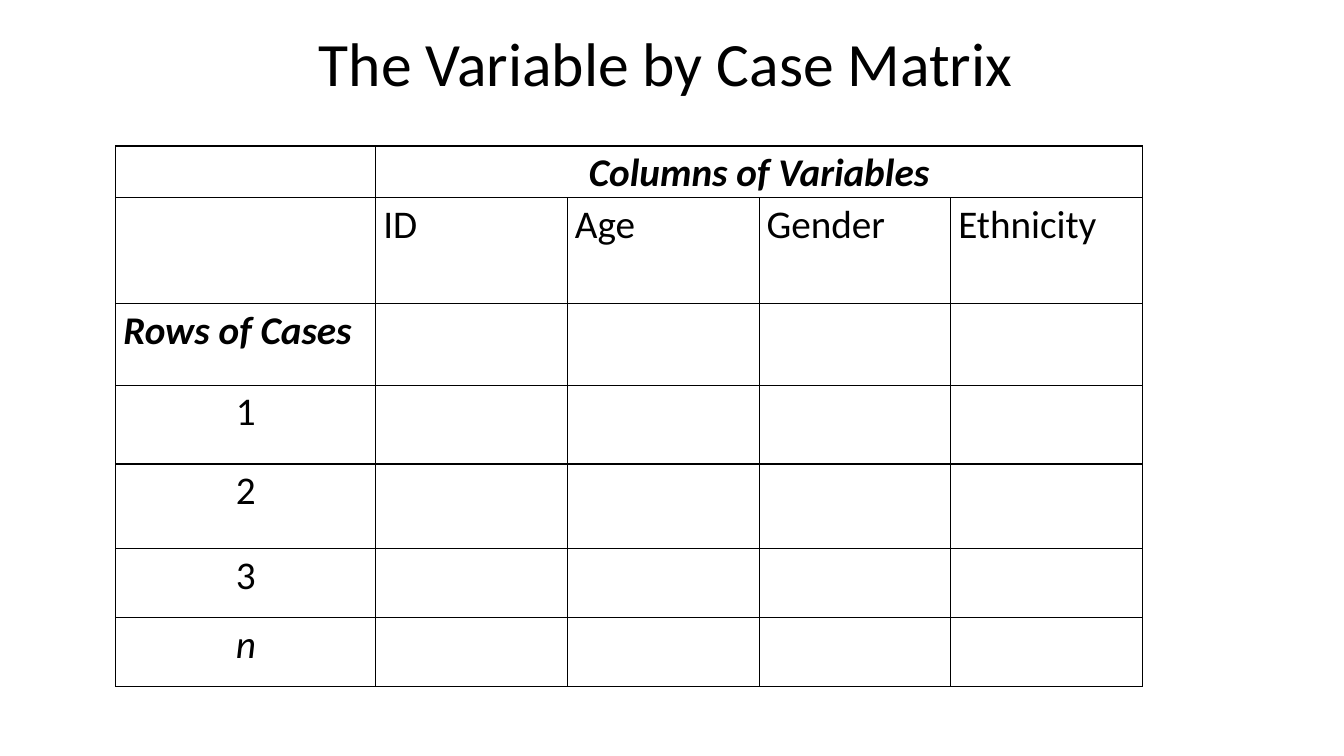
"""Build the variable by case matrix slide."""
import dataclasses

import lxml.etree
import pptx
import pptx.dml.color
import pptx.enum.text
import pptx.oxml.ns
import pptx.util

Cm = pptx.util.Cm
Pt = pptx.util.Pt
ALIGN = pptx.enum.text.PP_ALIGN
INK = "000000"
WIDTHS = [6.55] + [4.83] * 4
HEIGHTS = [1.3, 2.67, 2.06, 1.98, 2.13, 1.75, 1.73]


@dataclasses.dataclass
class Label:
    row: int
    col: int
    text: str
    mid: bool = False
    bold: bool = False
    slant: bool = False


LABELS = [
    Label(0, 1, "Columns of Variables", mid=True, bold=True, slant=True),
    *(Label(1, col, name) for col, name in enumerate(["ID", "Age", "Gender", "Ethnicity"], 1)),
    Label(2, 0, "Rows of Cases", bold=True, slant=True),
    *(Label(row, 0, name, mid=True, slant=name == "n") for row, name in enumerate("123n", 3)),
]


def color(code: str) -> pptx.dml.color.RGBColor:
    return pptx.dml.color.RGBColor.from_string(code)


def write(frame, text: str, size: float, space: float, mid: bool = False,
          bold: bool = False, slant: bool = False) -> None:
    para = frame.paragraphs[0]
    para.alignment = ALIGN.CENTER if mid else ALIGN.LEFT
    para.line_spacing = space
    run = para.add_run()
    run.text = text
    font = run.font
    font.name, font.size = "Calibri", Pt(size)
    font.bold, font.italic = bold, slant
    font.color.rgb = color(INK)


def style(cell) -> None:
    cell.margin_left = cell.margin_right = Cm(0.19)
    cell.margin_top = cell.margin_bottom = 0
    cell.fill.background()
    props = cell._tc.get_or_add_tcPr()
    qn = pptx.oxml.ns.qn
    for place, side in enumerate("LRTB"):
        line = lxml.etree.Element(qn(f"a:ln{side}"), w=str(Pt(1)))
        fill = lxml.etree.SubElement(line, qn("a:solidFill"))
        lxml.etree.SubElement(fill, qn("a:srgbClr"), val=INK)
        props.insert(place, line)


def draw_grid(slide) -> None:
    grid = slide.shapes.add_table(
        len(HEIGHTS), len(WIDTHS), Cm(2.92), Cm(3.68),
        Cm(sum(WIDTHS)), Cm(sum(HEIGHTS))).table
    grid.first_row = grid.horz_banding = False
    for col, width in zip(grid.columns, WIDTHS):
        col.width = Cm(width)
    for row, height in zip(grid.rows, HEIGHTS):
        row.height = Cm(height)
    for cell in grid.iter_cells():
        style(cell)
    grid.cell(0, 1).merge(grid.cell(0, 4))
    for label in LABELS:
        write(grid.cell(label.row, label.col).text_frame, label.text, 28, 1.07,
              label.mid, label.bold, label.slant)


def draw_title(slide) -> None:
    frame = slide.shapes.add_textbox(Cm(2.18), Cm(0.71), Cm(29.21), Cm(3.68)).text_frame
    frame.word_wrap = True
    write(frame, "The Variable by Case Matrix", 44, 0.9, mid=True)


def main() -> None:
    deck = pptx.Presentation()
    deck.slide_width, deck.slide_height = Cm(33.87), Cm(19.05)
    slide = deck.slides.add_slide(deck.slide_layouts[6])
    draw_grid(slide)
    draw_title(slide)
    deck.save("out.pptx")


if __name__ == "__main__":
    main()
